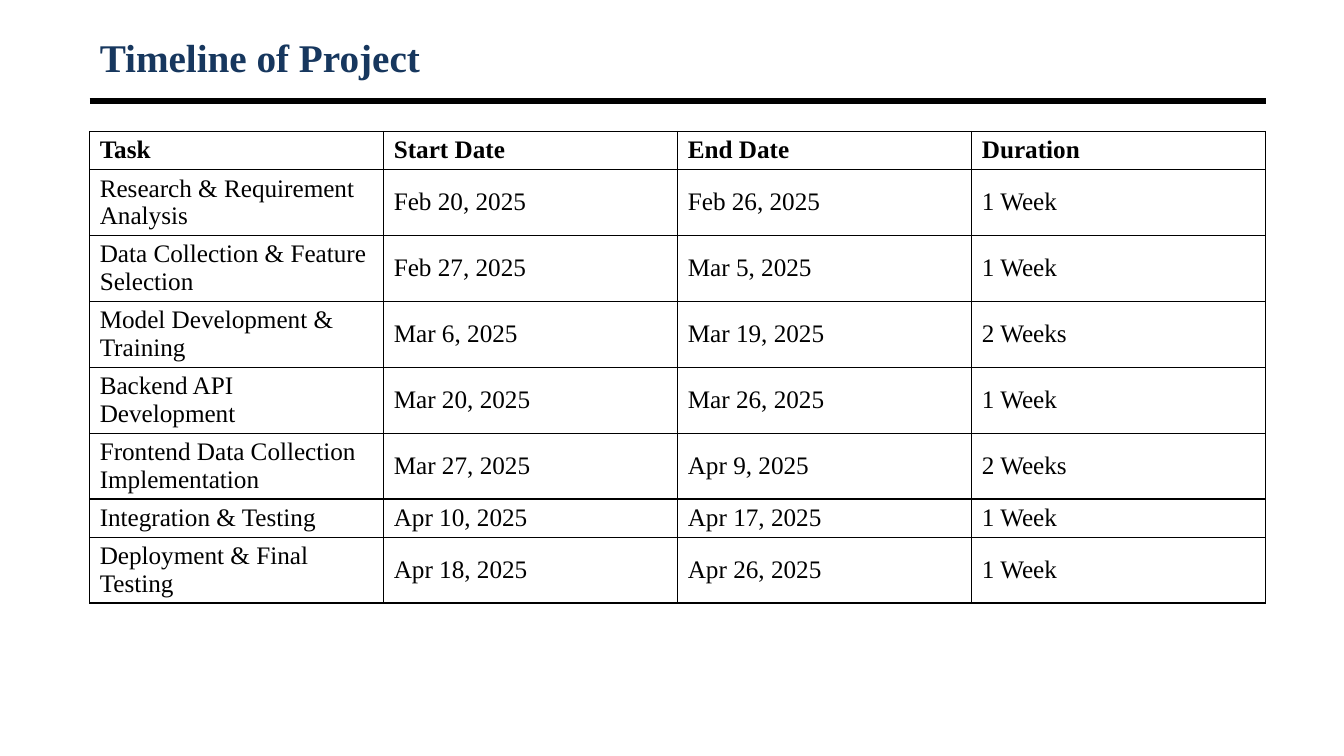
from lxml import etree
from pptx import Presentation
from pptx.dml.color import RGBColor
from pptx.enum.shapes import MSO_CONNECTOR
from pptx.enum.text import MSO_ANCHOR, MSO_AUTO_SIZE, PP_ALIGN
from pptx.oxml.ns import qn
from pptx.util import Cm, Pt

STRAIGHT = MSO_CONNECTOR.STRAIGHT
MIDDLE = MSO_ANCHOR.MIDDLE
LEFT_ALIGN = PP_ALIGN.LEFT
NO_AUTOFIT = MSO_AUTO_SIZE.NONE
TITLE_ONLY_LAYOUT = 5

COLORS = {"title": "17375E", "ink": "000000"}
TITLE_FORMAT = {"name": "Times New Roman", "size": Pt(28), "bold": True}
HEADER_FORMAT = {"name": "Times New Roman", "size": Pt(18), "bold": True}
BODY_FORMAT = {**HEADER_FORMAT, "bold": False}

LEFT = Cm(2.26)
COLUMN_WIDTH = Cm(7.41)
CONTENT_WIDTH = COLUMN_WIDTH * 4
RULE_TOP = Cm(2.54)
TABLE_TOP = Cm(3.31)
SINGLE_LINE_HEIGHT = Cm(0.96)
DOUBLE_LINE_HEIGHT = Cm(1.66)
SINGLE_LINE_TASKS = ("Task", "Integration & Testing")

TIMELINE = [
    ("Task", "Start Date", "End Date", "Duration"),
    ("Research & Requirement Analysis", "Feb 20, 2025", "Feb 26, 2025", "1 Week"),
    ("Data Collection & Feature Selection", "Feb 27, 2025", "Mar 5, 2025", "1 Week"),
    ("Model Development & Training", "Mar 6, 2025", "Mar 19, 2025", "2 Weeks"),
    ("Backend API Development", "Mar 20, 2025", "Mar 26, 2025", "1 Week"),
    ("Frontend Data Collection Implementation", "Mar 27, 2025", "Apr 9, 2025", "2 Weeks"),
    ("Integration & Testing", "Apr 10, 2025", "Apr 17, 2025", "1 Week"),
    ("Deployment & Final Testing", "Apr 18, 2025", "Apr 26, 2025", "1 Week"),
]


def write_text(text_frame, text, text_format, color):
    paragraph = text_frame.paragraphs[0]
    paragraph.alignment = LEFT_ALIGN
    run = paragraph.add_run()
    run.text = text
    for attribute, value in text_format.items():
        setattr(run.font, attribute, value)
    run.font.color.rgb = RGBColor.from_string(COLORS[color])


def set_title(slide, text):
    title = slide.shapes.title
    title.left, title.top = LEFT, Cm(0.76)
    title.width, title.height = CONTENT_WIDTH, Cm(1.35)
    title.text_frame.auto_size = NO_AUTOFIT
    title.text_frame.vertical_anchor = MIDDLE
    write_text(title.text_frame, text, TITLE_FORMAT, "title")


def add_rule(slide):
    rule = slide.shapes.add_connector(
        STRAIGHT, LEFT, RULE_TOP, LEFT + CONTENT_WIDTH, RULE_TOP
    )
    rule.line.color.rgb = RGBColor.from_string(COLORS["ink"])
    rule.line.width = Pt(4.5)
    etree.SubElement(rule._element.spPr, qn("a:effectLst"))


def add_borders(cell):
    properties = cell._tc.get_or_add_tcPr()
    for side in ("a:lnL", "a:lnR", "a:lnT", "a:lnB"):
        border = etree.SubElement(properties, qn(side), w=str(Pt(1)))
        fill = etree.SubElement(border, qn("a:solidFill"))
        etree.SubElement(fill, qn("a:srgbClr"), val=COLORS["ink"])


def fill_cell(cell, text, text_format):
    add_borders(cell)
    cell.fill.background()
    cell.vertical_anchor = MIDDLE
    write_text(cell.text_frame, text, text_format, "ink")


def add_timeline(slide, rows):
    heights = [
        SINGLE_LINE_HEIGHT if row[0] in SINGLE_LINE_TASKS else DOUBLE_LINE_HEIGHT
        for row in rows
    ]
    table = slide.shapes.add_table(
        len(rows), len(rows[0]), LEFT, TABLE_TOP, CONTENT_WIDTH, sum(heights)
    ).table
    table.horz_banding = False
    for column in table.columns:
        column.width = COLUMN_WIDTH
    for row_index, (row, height) in enumerate(zip(rows, heights)):
        table.rows[row_index].height = height
        text_format = BODY_FORMAT if row_index else HEADER_FORMAT
        for column_index, text in enumerate(row):
            fill_cell(table.cell(row_index, column_index), text, text_format)


def main():
    presentation = Presentation()
    presentation.slide_width = Cm(33.87)
    presentation.slide_height = Cm(19.05)
    slide = presentation.slides.add_slide(
        presentation.slide_layouts[TITLE_ONLY_LAYOUT]
    )
    add_rule(slide)
    set_title(slide, "Timeline of Project")
    add_timeline(slide, TIMELINE)
    presentation.save("out.pptx")


if __name__ == "__main__":
    main()
